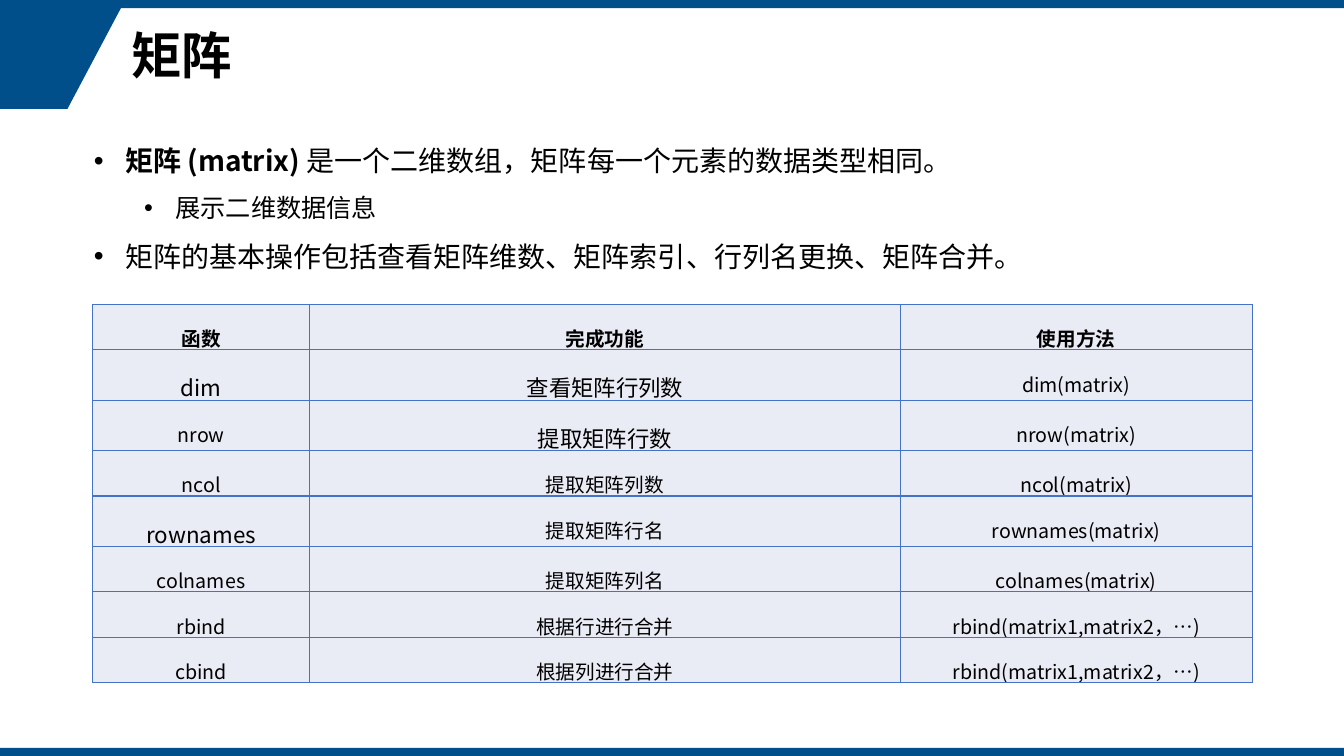
from dataclasses import dataclass

from lxml import etree
from pptx import Presentation
from pptx.dml.color import RGBColor
from pptx.enum.shapes import MSO_SHAPE as Shape
from pptx.enum.text import MSO_ANCHOR as Anchor, MSO_AUTO_SIZE as AutoSize, PP_ALIGN as Align
from pptx.oxml.ns import qn
from pptx.util import Inches, Pt


@dataclass(frozen=True)
class Theme:
    font: str = "Noto Sans CJK SC"
    blue: str = "004F8A"
    ink: str = "000000"
    cell: str = "E9EBF5"
    border: str = "4472C4"
    title: int = 36
    bullet: int = 20
    sub_bullet: int = 18
    large_cell: int = 16
    small_cell: int = 14


THEME = Theme()
BULLETS = [
    (0, [("矩阵 (matrix) ", True), ("是一个二维数组，矩阵每一个元素的数据类型相同。", False)]),
    (1, [("展示二维数据信息", False)]),
    (0, [("矩阵的基本操作包括查看矩阵维数、矩阵索引、行列名更换、矩阵合并。", False)]),
]
FUNCTIONS = [
    ("函数", "完成功能", "使用方法"),
    ("dim", "查看矩阵行列数", "dim(matrix)"),
    ("nrow", "提取矩阵行数", "nrow(matrix)"),
    ("ncol", "提取矩阵列数", "ncol(matrix)"),
    ("rownames", "提取矩阵行名", "rownames(matrix)"),
    ("colnames", "提取矩阵列名", "colnames(matrix)"),
    ("rbind", "根据行进行合并", "rbind(matrix1,matrix2，…)"),
    ("cbind", "根据列进行合并", "rbind(matrix1,matrix2，…)"),
]
LARGE_CELLS = {"dim", "查看矩阵行列数", "提取矩阵行数", "rownames"}


def place(part, box):
    part.left, part.top, part.width, part.height = map(Inches, box)


def style_run(run, size, bold):
    run.font.name = THEME.font
    run.font.size = Pt(size)
    run.font.bold = bold
    run.font.color.rgb = RGBColor.from_string(THEME.ink)
    east_asian = etree.SubElement(run.font._element, qn("a:ea"))
    east_asian.set("typeface", THEME.font)


def paint(part):
    part.fill.solid()
    part.fill.fore_color.rgb = RGBColor.from_string(THEME.blue)
    part.line.fill.background()
    part.shadow.inherit = False


# Blue bands and the slanted corner
def add_frame(slide, box, band=0.08):
    left, top, width, height = box
    for band_top in (top, top + height - band):
        paint(slide.shapes.add_shape(
            Shape.RECTANGLE, Inches(left), Inches(band_top), Inches(width), Inches(band)))
    corner_top, corner_bottom = top + band, top + band + 1
    outline = slide.shapes.build_freeform(Inches(left), Inches(corner_top))
    outline.add_line_segments([
        (Inches(left + 1.2), Inches(corner_top)),
        (Inches(left + 0.67), Inches(corner_bottom)),
        (Inches(left), Inches(corner_bottom)),
    ])
    paint(outline.convert_to_shape())


# Heading
def fill_title(title, box):
    place(title, box)
    frame = title.text_frame
    frame.text = "矩阵"
    frame.vertical_anchor = Anchor.MIDDLE
    frame.auto_size = AutoSize.NONE
    heading = frame.paragraphs[0]
    heading.alignment = Align.LEFT
    heading.line_spacing = 0.9
    style_run(heading.runs[0], THEME.title, True)


# Definition and operations
def fill_bullets(body, box):
    place(body, box)
    frame = body.text_frame
    frame.word_wrap = True
    frame.vertical_anchor = Anchor.TOP
    frame.auto_size = AutoSize.SHAPE_TO_FIT_TEXT
    for index, (level, pieces) in enumerate(BULLETS):
        point = frame.paragraphs[0] if index == 0 else frame.add_paragraph()
        point.level = level
        point.line_spacing = 1.5
        point.space_before = Pt(0)
        properties = point._p.get_or_add_pPr()
        properties.set("marL", str(Inches(0.31 + 0.5 * level)))
        properties.set("indent", str(Inches(-0.31)))
        etree.SubElement(properties, qn("a:buFont")).set("typeface", "Arial")
        etree.SubElement(properties, qn("a:buChar")).set("char", "•")
        for text, bold in pieces:
            run = point.add_run()
            run.text = text
            style_run(run, THEME.sub_bullet if level else THEME.bullet, bold)


def set_borders(cell):
    properties = cell._tc.get_or_add_tcPr()
    for position, side in enumerate(("a:lnL", "a:lnR", "a:lnT", "a:lnB")):
        line = etree.Element(qn(side), w=str(Pt(1)))
        fill = etree.SubElement(line, qn("a:solidFill"))
        etree.SubElement(fill, qn("a:srgbClr")).set("val", THEME.border)
        properties.insert(position, line)


# Function reference
def add_functions(slide, box):
    table = slide.shapes.add_table(
        len(FUNCTIONS), len(FUNCTIONS[0]), *map(Inches, box)).table
    table.first_row = table.horz_banding = False
    for column, width in zip(table.columns, (2.15, 5.86, 3.49)):
        column.width = Inches(width)
    for row_index, texts in enumerate(FUNCTIONS):
        table.rows[row_index].height = Inches(0.31 if row_index else 0.34)
        for column_index, text in enumerate(texts):
            cell = table.cell(row_index, column_index)
            cell.margin_left = cell.margin_right = Inches(0.07)
            cell.margin_top = cell.margin_bottom = Inches(0.05)
            cell.fill.solid()
            cell.fill.fore_color.rgb = RGBColor.from_string(THEME.cell)
            set_borders(cell)
            cell.text_frame.text = text
            entry = cell.text_frame.paragraphs[0]
            entry.alignment = Align.CENTER
            entry.line_spacing = 1.5
            size = THEME.large_cell if text in LARGE_CELLS else THEME.small_cell
            style_run(entry.runs[0], size, row_index == 0)


def main():
    deck = Presentation()
    deck.slide_width, deck.slide_height = Inches(13.33), Inches(7.5)
    slide = deck.slides.add_slide(deck.slide_layouts[1])
    add_frame(slide, (0, 0, 13.33, 7.5))
    fill_title(slide.shapes.title, (1.2, 0.08, 11.22, 1))
    fill_bullets(slide.placeholders[1], (0.83, 1.21, 11.58, 1.51))
    add_functions(slide, (0.92, 3.02, 11.5, 2.51))
    deck.save("out.pptx")


if __name__ == "__main__":
    main()
